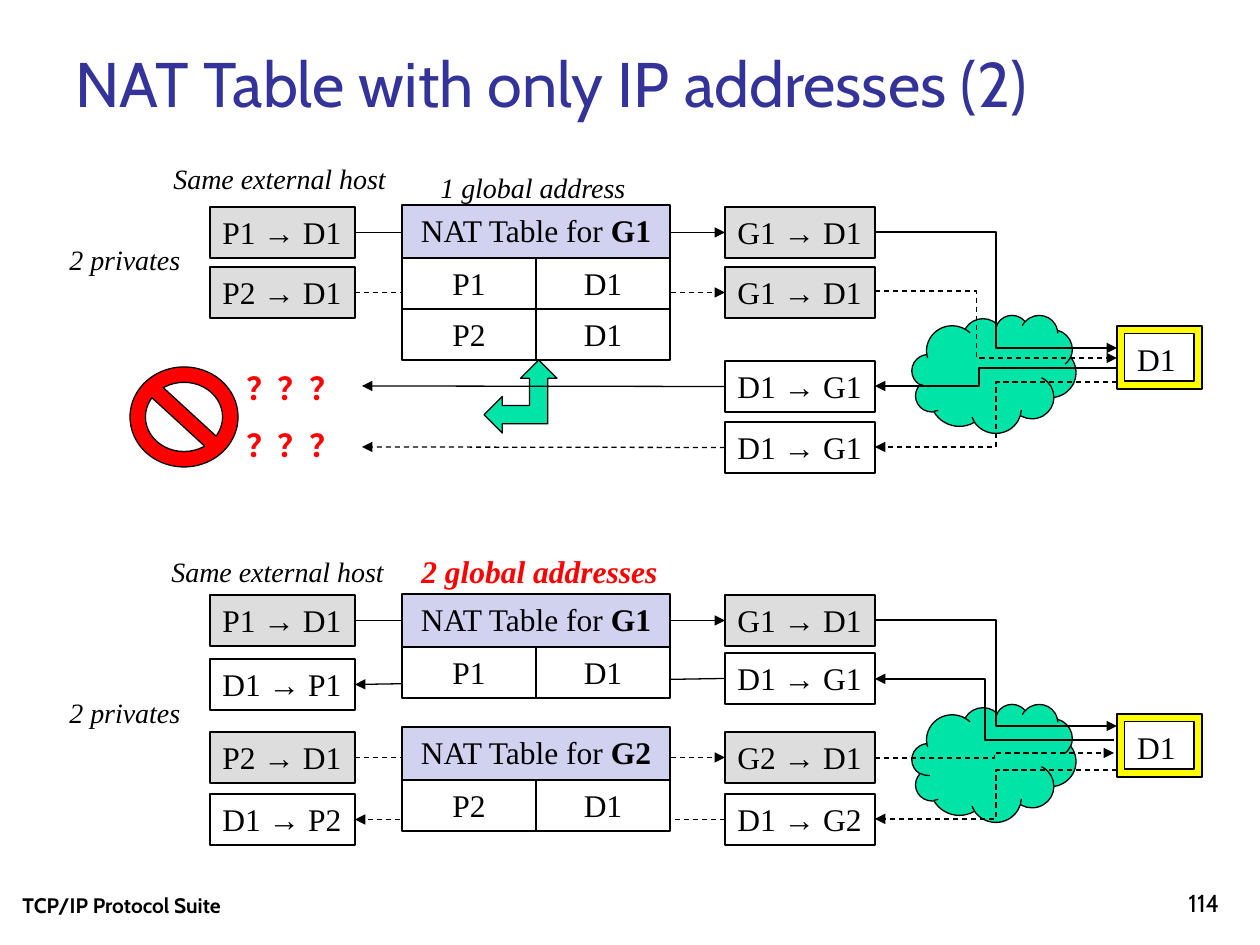
import pptx
import pptx.util
import pptx.dml.color
import pptx.enum.dml
import pptx.enum.shapes
import pptx.enum.text
import pptx.oxml
import pptx.oxml.ns

SCALE = 914400 / 126
COLORS = {
    "title": "333399", "text": "000000", "alert": "FF0000", "packet": "DDDDDD",
    "header": "D1D1F0", "cell": "FFFFFF", "cloud": "00E4A8", "host": "FFFF00",
}
SHAPES = pptx.enum.shapes.MSO_SHAPE
CONNECTORS = pptx.enum.shapes.MSO_CONNECTOR
ALIGN = pptx.enum.text.PP_ALIGN
ANCHOR = pptx.enum.text.MSO_ANCHOR
AUTO_SIZE = pptx.enum.text.MSO_AUTO_SIZE

presentation = pptx.Presentation()
presentation.slide_width = round(1260 * SCALE)
presentation.slide_height = round(945 * SCALE)
slide = presentation.slides.add_slide(presentation.slide_layouts[5])


def add_item(box, kind=None, fill=None, text="", bold_end="", size=18, font="Times New Roman",
             color="text", bold=None, italic=None, align=ALIGN.LEFT, anchor=ANCHOR.TOP,
             wrap=False, grow=True):
    lengths = [round(value * SCALE) for value in box]
    if kind == "title":
        shape = slide.shapes.title
        shape.left, shape.top, shape.width, shape.height = lengths
    elif kind is None:
        shape = slide.shapes.add_textbox(*lengths)
    else:
        shape = slide.shapes.add_shape(kind, *lengths)
        shape.shadow.inherit = False
        shape.line.color.rgb = pptx.dml.color.RGBColor.from_string(COLORS["text"])
        shape.line.width = pptx.util.Pt(0.75)
        if fill:
            shape.fill.solid()
            shape.fill.fore_color.rgb = pptx.dml.color.RGBColor.from_string(COLORS[fill])
        else:
            shape.fill.background()
    if text:
        frame = shape.text_frame
        frame.word_wrap = wrap
        frame.auto_size = AUTO_SIZE.SHAPE_TO_FIT_TEXT if grow else AUTO_SIZE.NONE
        frame.vertical_anchor = anchor
        paragraph = frame.paragraphs[0]
        paragraph.alignment = align
        paragraph.font.size = pptx.util.Pt(size)
        paragraph.font.name = font
        paragraph.font.bold = bold
        paragraph.font.italic = italic
        paragraph.font.color.rgb = pptx.dml.color.RGBColor.from_string(COLORS[color])
        paragraph.add_run().text = text
        if bold_end:
            run = paragraph.add_run()
            run.text = bold_end
            run.font.bold = True
    return shape


def add_arrow(kind, points, dashed, bend=None):
    connector = slide.shapes.add_connector(kind, *[round(value * SCALE) for value in points])
    connector.line.color.rgb = pptx.dml.color.RGBColor.from_string(COLORS["text"])
    connector.line.width = pptx.util.Pt(0.75)
    if dashed:
        connector.line.dash_style = pptx.enum.dml.MSO_LINE.DASH
    properties = connector._element.spPr
    line = properties.find(pptx.oxml.ns.qn("a:ln"))
    namespace = pptx.oxml.ns.nsdecls("a")
    line.append(pptx.oxml.parse_xml(f'<a:tailEnd {namespace} type="triangle"/>'))
    properties.append(pptx.oxml.parse_xml(f"<a:effectLst {namespace}/>"))
    if bend:
        geometry = properties.find(pptx.oxml.ns.qn("a:prstGeom"))
        guides = geometry.find(pptx.oxml.ns.qn("a:avLst"))
        guides.append(pptx.oxml.parse_xml(
            f'<a:gd {namespace} name="adj1" fmla="val {round(bend * 100000)}"/>'))
    return connector


add_item((63, 38, 1134, 88), "title", text="NAT Table with only IP addresses (2)", size=36,
         font="Cabin", color="title", wrap=True, grow=False)
add_item((10, 861, 400, 63), text="TCP/IP Protocol Suite", size=12, font="Cabin", bold=True,
         anchor=ANCHOR.BOTTOM, wrap=True, grow=False)
add_item((970, 861, 262, 63), text="114", size=14, font="Cabin", align=ALIGN.RIGHT,
         anchor=ANCHOR.BOTTOM, wrap=True, grow=False)

for cloud_top, host_top in [(315, 326), (704, 714)]:
    add_item((912, cloud_top, 164, 118), SHAPES.CLOUD, "cloud")
    add_item((1117, host_top, 85, 63), SHAPES.FRAME, "host", "D1", wrap=True, grow=False)
add_item((484, 360, 73, 73), SHAPES.LEFT_UP_ARROW, "cloud")
no_entry = add_item((130, 367, 108, 100), SHAPES.NO_SYMBOL, "alert")
no_entry.adjustments[0] = 0.154

packet_rows = [
    (207, "P1 → D1", 207, "G1 → D1", True, False),
    (267, "P2 → D1", 267, "G1 → D1", True, True),
    (None, None, 361, "D1 → G1", False, False),
    (None, None, 422, "D1 → G1", False, True),
    (595, "P1 → D1", 595, "G1 → D1", True, False),
    (659, "D1 → P1", 653, "D1 → G1", False, False),
    (732, "P2 → D1", 732, "G2 → D1", True, True),
    (794, "D1 → P2", 794, "D1 → G2", False, True),
]
for left_top, left_text, right_top, right_text, outgoing, dashed in packet_rows:
    fill = "packet" if outgoing else None
    right = add_item((725, right_top, 150, 51), SHAPES.RECTANGLE, fill, right_text)
    if left_text is None:
        middle = right_top + 25
        arrow = add_arrow(CONNECTORS.STRAIGHT, (725, middle, 362, middle), dashed)
        arrow.begin_connect(right, 1)
        continue
    left = add_item((210, left_top, 145, 51), SHAPES.RECTANGLE, fill, left_text)
    left_end, right_end = (355, left_top + 25), (725, right_top + 25)
    if outgoing:
        arrow = add_arrow(CONNECTORS.STRAIGHT, left_end + right_end, dashed)
        arrow.begin_connect(left, 3)
        arrow.end_connect(right, 1)
    else:
        arrow = add_arrow(CONNECTORS.STRAIGHT, right_end + left_end, dashed)
        arrow.begin_connect(right, 1)
        arrow.end_connect(left, 3)

routes = [
    ((875, 232, 1117, 348), False, 0.5),
    ((875, 291, 1117, 358), True, 0.42),
    ((1117, 368, 875, 386), False, 0.57),
    ((1117, 382, 875, 447), True, 0.5),
    ((875, 620, 1117, 726), False, 0.5),
    ((1114, 740, 875, 679), False, 0.54),
    ((875, 758, 1114, 753), True, 0.5),
    ((1117, 770, 875, 819), True, 0.5),
]
for points, dashed, bend in routes:
    add_arrow(CONNECTORS.ELBOW, points, dashed, bend)

nat_tables = [
    (205, "G1", ["P1", "P2"]),
    (594, "G1", ["P1"]),
    (727, "G2", ["P2"]),
]
for top, address, privates in nat_tables:
    for row, private in enumerate(privates):
        for column, text in enumerate([private, "D1"]):
            add_item((402 + 134 * column, top + 53 + 51 * row, 134, 51), SHAPES.RECTANGLE,
                     "cell", text, align=ALIGN.CENTER, wrap=True)
    add_item((402, top, 268, 53), SHAPES.RECTANGLE, "header", "NAT Table for ", address,
             align=ALIGN.CENTER, wrap=True)

labels = [
    ((161, 155, 241, 47), "Same external host"),
    ((428, 164, 213, 47), "1 global address"),
    ((57, 236, 139, 47), "2 privates"),
    ((159, 548, 241, 47), "Same external host"),
    ((57, 689, 139, 47), "2 privates"),
]
for box, text in labels:
    add_item(box, text=text, size=16, italic=True)
add_item((409, 546, 263, 51), text="2 global addresses", color="alert", bold=True, italic=True)
for top in (363, 420):
    add_item((234, top, 121, 51), text="？？？", color="alert", bold=True)

presentation.save("out.pptx")
